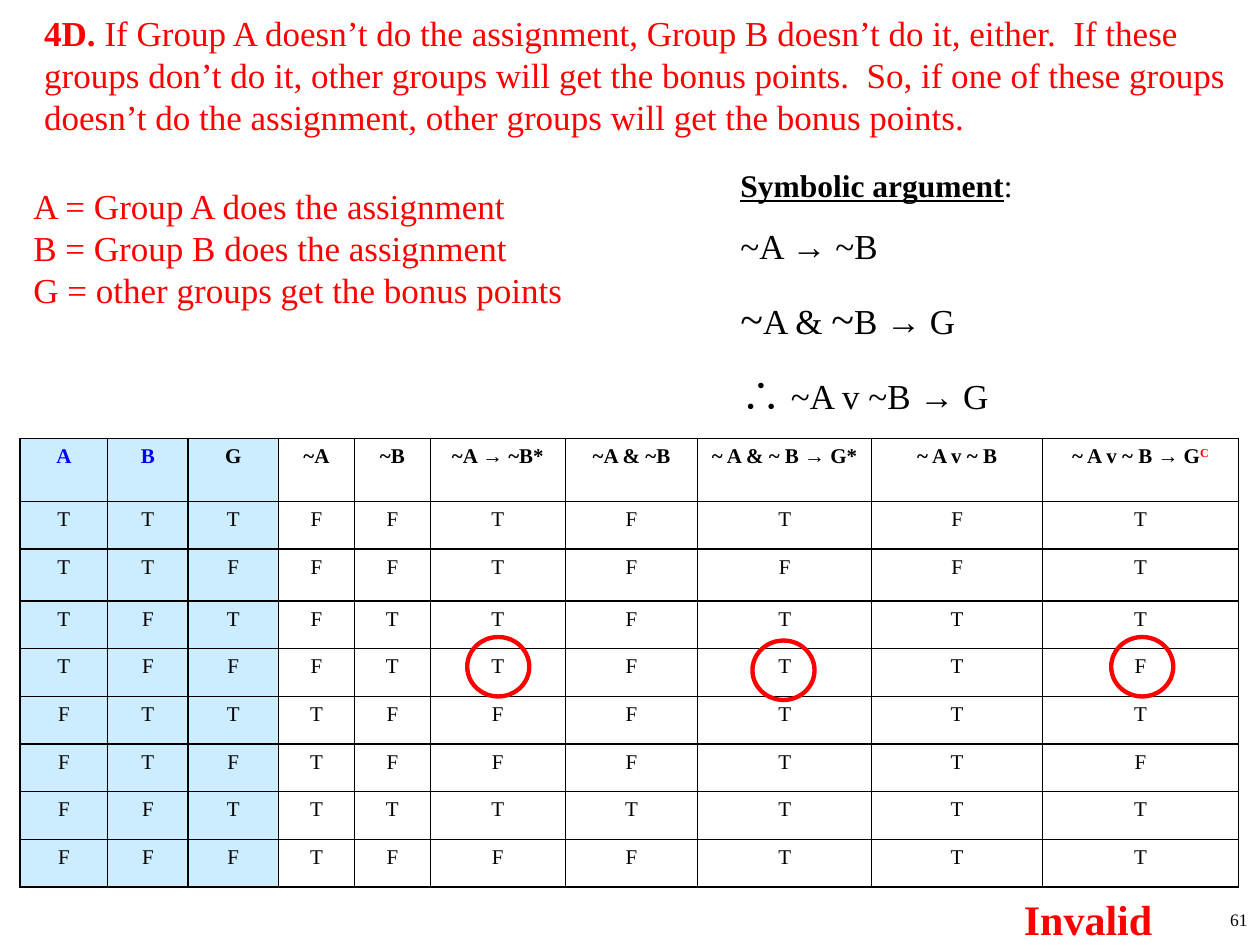
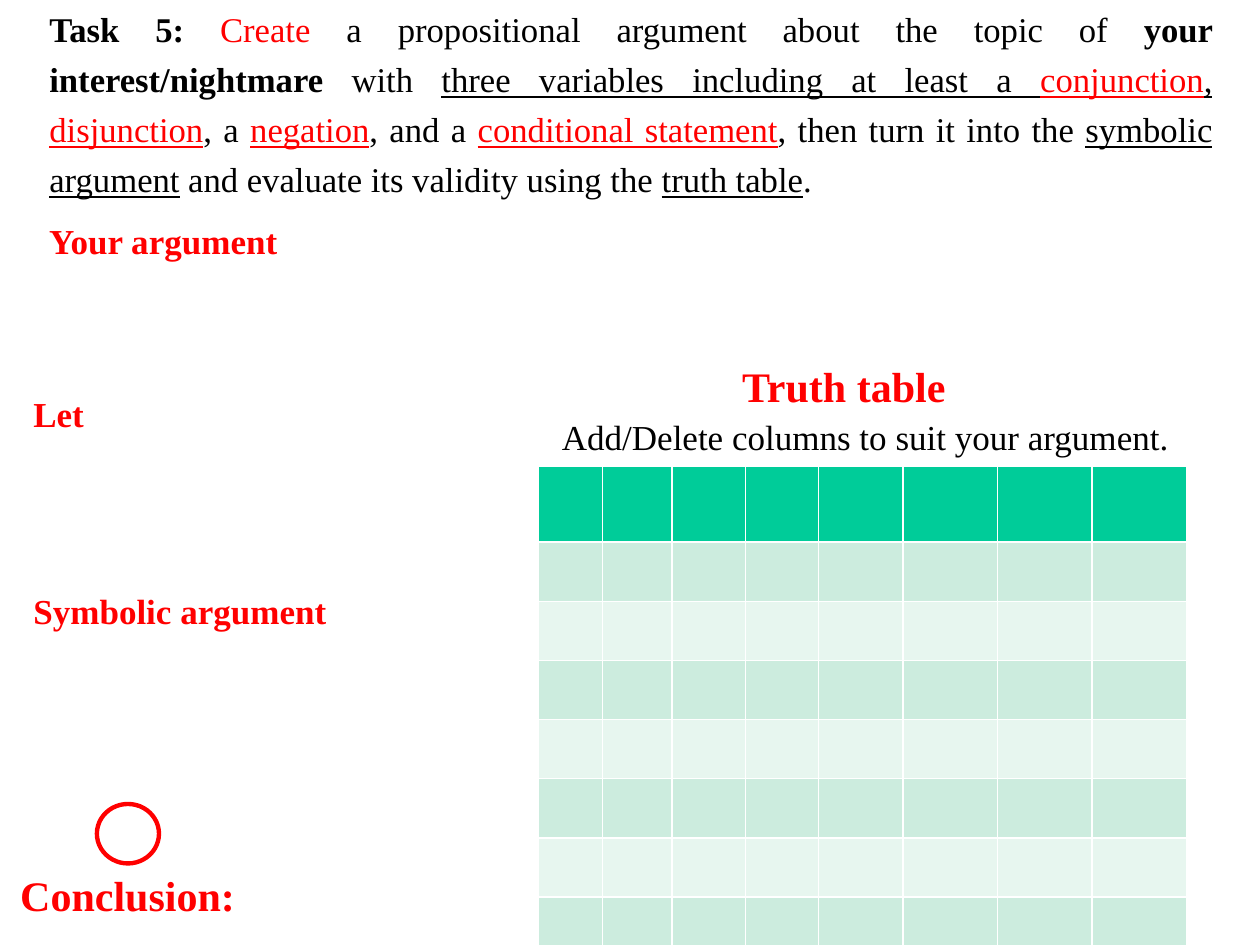
"""Build two slides on truth tables for propositional arguments."""
from lxml.etree import SubElement
from pptx import Presentation
from pptx.dml.color import RGBColor
from pptx.enum.shapes import MSO_SHAPE
from pptx.enum.text import MSO_ANCHOR, MSO_AUTO_SIZE, PP_ALIGN
from pptx.oxml.ns import qn
from pptx.util import Pt

FACE = "Times New Roman"
RED, BLACK, WHITE, BLUE, PALE = "FF0000", "000000", "FFFFFF", "0000FF", "CCECFF"


def hue(code):
    """Turn a hex string into a colour."""
    return RGBColor.from_string(code)


def write(frame, lines, size=20, tone=RED, bold=False, align=PP_ALIGN.LEFT, space=1.0):
    """Fill a text frame; a line is a string or a list of (text, changes) runs."""
    frame.word_wrap = True
    for i, line in enumerate(lines):
        para = frame.paragraphs[0] if i == 0 else frame.add_paragraph()
        para.alignment, para.line_spacing = align, space
        para.space_before = Pt(0)
        font = para.font
        font.name, font.size, font.bold = FACE, Pt(size), bold
        font.color.rgb = hue(tone)
        for text, change in [(line, {})] if isinstance(line, str) else line:
            run = para.add_run()
            run.text = text
            if "size" in change:
                run.font.size = Pt(change["size"])
            if "tone" in change:
                run.font.color.rgb = hue(change["tone"])
            if "bold" in change:
                run.font.bold = change["bold"]
            if "line" in change:
                run.font.underline = change["line"]
            if "base" in change:
                run.font._element.set("baseline", change["base"])


deck = Presentation()
deck.slide_width, deck.slide_height = Pt(720), Pt(540)
proof = deck.slides.add_slide(deck.slide_layouts[1])
task = deck.slides.add_slide(deck.slide_layouts[5])

title = proof.shapes.title
title._element.getparent().remove(title._element)
body = proof.placeholders[1]
body.left, body.top, body.width, body.height = Pt(0), Pt(3), Pt(720), Pt(59)
body.text_frame.auto_size = MSO_AUTO_SIZE.NONE
props = body.text_frame.paragraphs[0]._p.get_or_add_pPr()
props.set("marL", str(Pt(18)))
props.set("indent", "0")
SubElement(props, qn("a:buNone"))
write(body.text_frame, [[
    ("4D. ", {"bold": True}),
    ("If Group A doesn’t do the assignment, Group B doesn’t do it, either.  "
     "If these groups don’t do it, other groups will get the bonus points.  "
     "So, if one of these groups doesn’t do the assignment, other groups "
     "will get the bonus points.", {})]])

head = task.shapes.title
head.left, head.top, head.width, head.height = Pt(21), Pt(0), Pt(679), Pt(120)
frame = head.text_frame
frame.auto_size, frame.vertical_anchor = MSO_AUTO_SIZE.NONE, MSO_ANCHOR.TOP
frame.margin_top = Pt(0)
strong, under = {"bold": True}, {"line": True}
key = {"line": True, "tone": RED}
write(frame, [[
    ("Task 5: ", strong), ("Create", {"tone": RED}),
    (" a propositional argument about the topic of ", {}),
    ("your interest/nightmare ", strong), ("with ", {}),
    ("three variables including at least a ", under),
    ("conjunction", key), (", ", under), ("disjunction", key),
    (", a ", {}), ("negation", key), (", and a ", {}),
    ("conditional statement", key), (", then turn it into the ", {}),
    ("symbolic argument", under), (" and evaluate its validity using the ", {}),
    ("truth table", under), (".", {})]],
    size=19.8, tone=BLACK, align=PP_ALIGN.JUSTIFY, space=1.2)

names = [[("A", {"tone": BLUE})], [("B", {"tone": BLUE})], "G", "~A", "~B",
         "~A → ~B*", "~A & ~B", "~ A & ~ B → G*", "~ A v ~ B",
         [("~ A v ~ B → G", {}), ("C", {"tone": RED, "base": "30000"})]]
truth = ["TTTFFTFTFT", "TTFFFTFFFT", "TFTFTTFTTT", "TFFFTTFTTF",
         "FTTTFFFTTT", "FTFTFFFTTF", "FFTTTTTTTT", "FFFTFFFTTT"]
tables = [
    (proof, 11.5, 250.6, [50, 46, 51.7, 43.4, 43.4, 77.1, 75.7, 99.4, 97.7, 112],
     [36, 27.25, 29.6] + [27.25] * 6, [names] + truth,
     [[PALE] * 3 + [WHITE] * 7] * 9, BLACK),
    (task, 307.7, 266.6, [36.7, 39.6, 41.9, 41.9, 48.2, 54, 54, 54],
     [43.2] + [33.8] * 8, [],
     [[tint] * 8 for tint in ["00CC99"] + ["CCECDE", "E7F6EF"] * 4], WHITE),
]
for slide, left, top, wides, highs, texts, fills, edge in tables:
    grid = slide.shapes.add_table(len(highs), len(wides), Pt(left), Pt(top),
                                  Pt(sum(wides)), Pt(sum(highs))).table
    for col, wide in zip(grid.columns, wides):
        col.width = Pt(wide)
    for r, high in enumerate(highs):
        grid.rows[r].height = Pt(high)
        for c, tint in enumerate(fills[r]):
            cell = grid.cell(r, c)
            tag = cell._tc.get_or_add_tcPr()
            for side in ("lnL", "lnR", "lnT", "lnB"):
                rule = SubElement(tag, qn("a:" + side), w=str(Pt(1)))
                SubElement(SubElement(rule, qn("a:solidFill")), qn("a:srgbClr"), val=edge)
            cell.fill.solid()
            cell.fill.fore_color.rgb = hue(tint)
            if texts:
                write(cell.text_frame, [texts[r][c]], 12, BLACK, r == 0, PP_ALIGN.CENTER)

for slide, left, top in [(proof, 267, 364), (proof, 430, 366),
                         (proof, 635, 364), (task, 55.4, 459.4)]:
    ring = slide.shapes.add_shape(MSO_SHAPE.OVAL, Pt(left), Pt(top), Pt(35.5), Pt(34))
    ring.shadow.inherit = False
    ring.fill.background()
    ring.line.color.rgb = hue(RED)
    ring.line.width = Pt(2.5)

big = {"size": 24}
logic = [
    [("Symbolic argument", {"size": 18, "bold": True, "line": True}), (":", {"size": 18})],
    "~A → ~B",
    [("~", big), ("A & ", {}), ("~", big), ("B → G", {})],
    [("∴", big), (" ~A v ~B → G", {})],
]
keys = ["A = Group A does the assignment", "B = Group B does the assignment",
        "G = other groups get the bonus points"]
bold = {"bold": True}
large = {"bold": True, "size": 24}
boxes = [
    (proof, 416, 80.6, 292, 158, logic, {"tone": BLACK, "space": 1.5}),
    (proof, 12, 102, 380, 80, keys, {}),
    (proof, 578, 507, 113, 33, ["Invalid"], large),
    (proof, 570, 516, 150, 24, ["61"],
     {"size": 10, "tone": BLACK, "align": PP_ALIGN.RIGHT}),
    (task, 21, 121.7, 225, 32, ["Your argument"], bold),
    (task, 12, 221, 282, 32, ["Let"], bold),
    (task, 12, 333.4, 282, 32, ["Symbolic argument"], bold),
    (task, 417, 202.3, 225, 36, ["Truth table"], large),
    (task, 314, 234, 377, 32, ["Add/Delete columns to suit your argument."],
     {"tone": BLACK}),
    (task, 4.5, 493.2, 225, 36, ["Conclusion:"], large),
]
for slide, left, top, wide, high, lines, style in boxes:
    box = slide.shapes.add_textbox(Pt(left), Pt(top), Pt(wide), Pt(high))
    write(box.text_frame, lines, **style)

deck.save("out.pptx")
